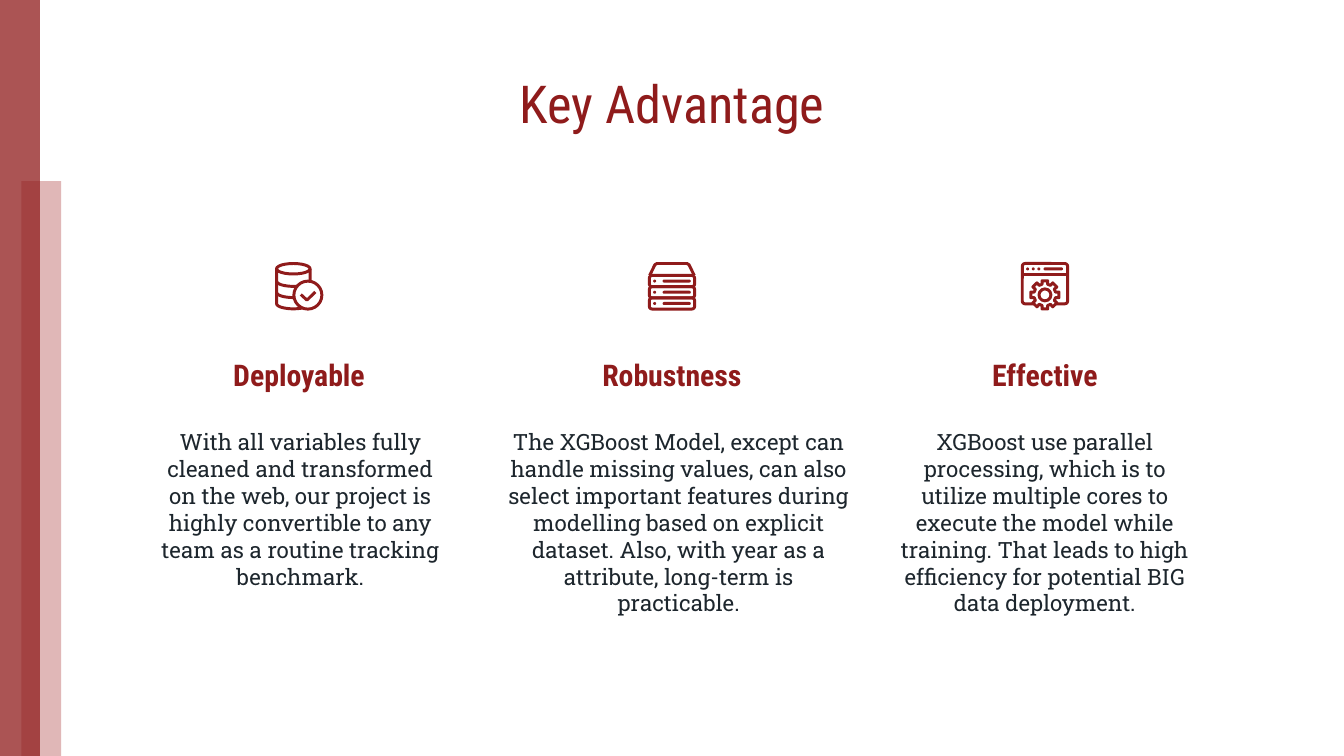
"""Build the Key Advantage slide with three icon columns."""
from dataclasses import dataclass
from math import cos, pi, sin

from lxml.etree import SubElement
from pptx import Presentation
from pptx.dml.color import RGBColor
from pptx.enum.shapes import MSO_CONNECTOR as Connector, MSO_SHAPE as Shape
from pptx.enum.text import MSO_ANCHOR as Anchor, MSO_AUTO_SIZE as AutoSize, PP_ALIGN as Align
from pptx.oxml.ns import qn
from pptx.util import Pt


@dataclass(frozen=True)
class Theme:
    """Colours, fonts and sizes of the slide."""
    accent: RGBColor = RGBColor(0x8F, 0x1B, 0x1B)
    soft: RGBColor = RGBColor(0xC8, 0x7F, 0x7F)
    ink: RGBColor = RGBColor(0x1D, 0x26, 0x2D)
    paper: RGBColor = RGBColor(0xFF, 0xFF, 0xFF)
    display: str = "Roboto Condensed"
    text: str = "Roboto Slab"
    title_size: float = 28
    heading_size: float = 16
    body_size: float = 12
    stroke: float = 1.6


THEME = Theme()
MIDDLE, PITCH = 360, 199.8
ICON_TOP, ICON_SIZE = 140.4, 25.9


def paint(shape, fill=None, line=None):
    """Set fill and outline and drop the shadow."""
    shape.shadow.inherit = False
    if fill is None:
        shape.fill.background()
    else:
        shape.fill.solid()
        shape.fill.fore_color.rgb = fill
    if line is None:
        shape.line.fill.background()
    else:
        shape.line.color.rgb = line
        shape.line.width = Pt(THEME.stroke)
    return shape


def preset(page, kind, left, top, width, height, fill=None, line=None):
    """Add a painted preset shape."""
    shape = page.shapes.add_shape(kind, Pt(left), Pt(top), Pt(width), Pt(height))
    return paint(shape, fill, line)


def side_band(page, left, top, width, height, colour, opacity):
    """Add a translucent vertical band."""
    band = preset(page, Shape.RECTANGLE, left, top, width, height, colour)
    solid = band.element.spPr.find(qn("a:solidFill"))
    SubElement(solid[0], qn("a:alpha")).set("val", str(opacity * 1000))


def fill_text(box, words, font, size, colour, bold=False, anchor=Anchor.TOP):
    """Write one centred paragraph into a box."""
    frame = box.text_frame
    frame.word_wrap = True
    frame.auto_size = AutoSize.NONE
    frame.vertical_anchor = anchor
    frame.margin_left = frame.margin_right = Pt(7.2)
    frame.margin_top = frame.margin_bottom = Pt(7.2)
    para = frame.paragraphs[0]
    para.text = words
    para.alignment = Align.CENTER
    para.font.name = font
    para.font.size = Pt(size)
    para.font.bold = bold
    para.font.color.rgb = colour


def add_title(page, words):
    """Place and format the title."""
    title = page.shapes.title
    title.left, title.top, title.width, title.height = Pt(106), Pt(18), Pt(508), Pt(74)
    fill_text(title, words, THEME.display, THEME.title_size, THEME.accent, anchor=Anchor.MIDDLE)


def add_column(page, centre, heading, words, left, width, height):
    """Add the heading and description of one column."""
    box = page.shapes.add_textbox(Pt(left), Pt(222.3), Pt(width), Pt(height))
    fill_text(box, words, THEME.text, THEME.body_size, THEME.ink)
    box = page.shapes.add_textbox(Pt(centre - 103), Pt(187.2), Pt(206), Pt(30.2))
    fill_text(box, heading, THEME.display, THEME.heading_size, THEME.accent, True, Anchor.BOTTOM)


class Icon:
    """Draws line art in points from the icon's top left corner."""

    def __init__(self, page, centre):
        """Set the corner from the column centre."""
        self.page, self.left, self.top = page, centre - ICON_SIZE / 2, ICON_TOP

    def stroke(self, points, closed=False, fill=None):
        """Draw an outline through the points."""
        spots = [(Pt(self.left + x), Pt(self.top + y)) for x, y in points]
        builder = self.page.shapes.build_freeform(*spots[0])
        builder.add_line_segments(spots[1:], close=closed)
        paint(builder.convert_to_shape(), fill, THEME.accent)

    def line(self, x1, y1, x2, y2):
        """Draw a straight line."""
        rule = self.page.shapes.add_connector(
            Connector.STRAIGHT, Pt(self.left + x1), Pt(self.top + y1),
            Pt(self.left + x2), Pt(self.top + y2))
        rule.line.color.rgb = THEME.accent
        rule.line.width = Pt(THEME.stroke)
        SubElement(rule.element.spPr, qn("a:effectLst"))

    def ring(self, x, y, rx, ry, fill=None):
        """Draw an ellipse around a centre."""
        preset(self.page, Shape.OVAL, self.left + x - rx, self.top + y - ry,
               2 * rx, 2 * ry, fill, THEME.accent)

    def panel(self, x, y, width, height, radius=1.5):
        """Draw an outlined rounded rectangle."""
        box = preset(self.page, Shape.ROUNDED_RECTANGLE, self.left + x, self.top + y,
                     width, height, line=THEME.accent)
        box.adjustments[0] = radius / min(width, height)

    def pill(self, x, y, width=1.6):
        """Draw a solid dot or round-ended bar."""
        bar = preset(self.page, Shape.ROUNDED_RECTANGLE, self.left + x, self.top + y,
                     width, 1.6, THEME.accent)
        bar.adjustments[0] = 0.5


def arc(x, y, rx, ry, start, end, steps=16):
    """Return points along an elliptical arc."""
    angles = [start + (end - start) * step / steps for step in range(steps + 1)]
    return [(x + rx * cos(angle), y + ry * sin(angle)) for angle in angles]


def database_icon(icon):
    """Draw a database with a check mark."""
    icon.ring(9.9, 3.6, 9, 2.8)
    icon.stroke([(18.9, 3.6)] + arc(9.9, 22.3, 9, 2.8, 0, pi) + [(0.9, 3.6)])
    for y in (10.2, 16.2):
        icon.stroke(arc(9.9, y, 9, 2.8, 0, pi))
    icon.ring(17.7, 17.7, 7.5, 7.5, THEME.paper)
    icon.stroke([(13.9, 17.4), (17.2, 20.4), (21.7, 16)])


def server_icon(icon):
    """Draw a stack of three servers."""
    icon.stroke([(1, 7.2), (3.8, 1.5), (4.9, 0.8), (21, 0.8), (22.1, 1.5), (24.9, 7.2)])
    for row in range(3):
        y = 7.2 + 6 * row
        icon.panel(0.8, y, 24.3, 6)
        icon.pill(2.9, y + 2.2)
        icon.pill(7.9, y + 2.2, 15.1)


def window_icon(icon):
    """Draw a program window with a gear."""
    icon.panel(0.8, 0.8, 24.3, 21.6)
    icon.line(0.8, 6.5, 25.1, 6.5)
    for dot in range(3):
        icon.pill(2.9 + 3 * dot, 2.9)
    icon.pill(12.2, 2.9, 10.4)
    gear = []
    for tooth in range(8):
        for offset, radius in ((-0.25, 5.9), (-0.2, 7.7), (0.2, 7.7), (0.25, 5.9)):
            angle = tooth * pi / 4 + offset
            gear.append((12.95 + radius * cos(angle), 17.6 + radius * sin(angle)))
    icon.stroke(gear, True, THEME.paper)
    icon.ring(12.95, 17.6, 3.2, 3.2)


COLUMNS = [
    ("Deployable", "With all variables fully cleaned and transformed on the web, our project is "
     "highly convertible to any team as a routine tracking benchmark.",
     76.3, 169.2, 88, database_icon),
    ("Robustness", "The XGBoost Model, except can handle missing values, can also select "
     "important features during modelling based on explicit dataset. Also, with year as a "
     "attribute, long-term is practicable.", 264, 199.4, 111, server_icon),
    ("Effective", "XGBoost use parallel processing, which is to utilize multiple cores to "
     "execute the model while training. That leads to high efficiency for potential BIG data "
     "deployment.", 470.9, 177.8, 119, window_icon),
]


def main():
    """Build and save the slide."""
    deck = Presentation()
    deck.slide_width, deck.slide_height = Pt(720), Pt(405)
    page = deck.slides.add_slide(deck.slide_layouts[5])
    side_band(page, 11.4, 97, 21.4, 308, THEME.soft, 56)
    side_band(page, 0, 0, 21.4, 405, THEME.accent, 75)
    add_title(page, "Key Advantage")
    for index, (heading, words, left, width, height, draw) in enumerate(COLUMNS):
        centre = MIDDLE + PITCH * (index - 1)
        add_column(page, centre, heading, words, left, width, height)
        draw(Icon(page, centre))
    deck.save("out.pptx")


if __name__ == "__main__":
    main()
